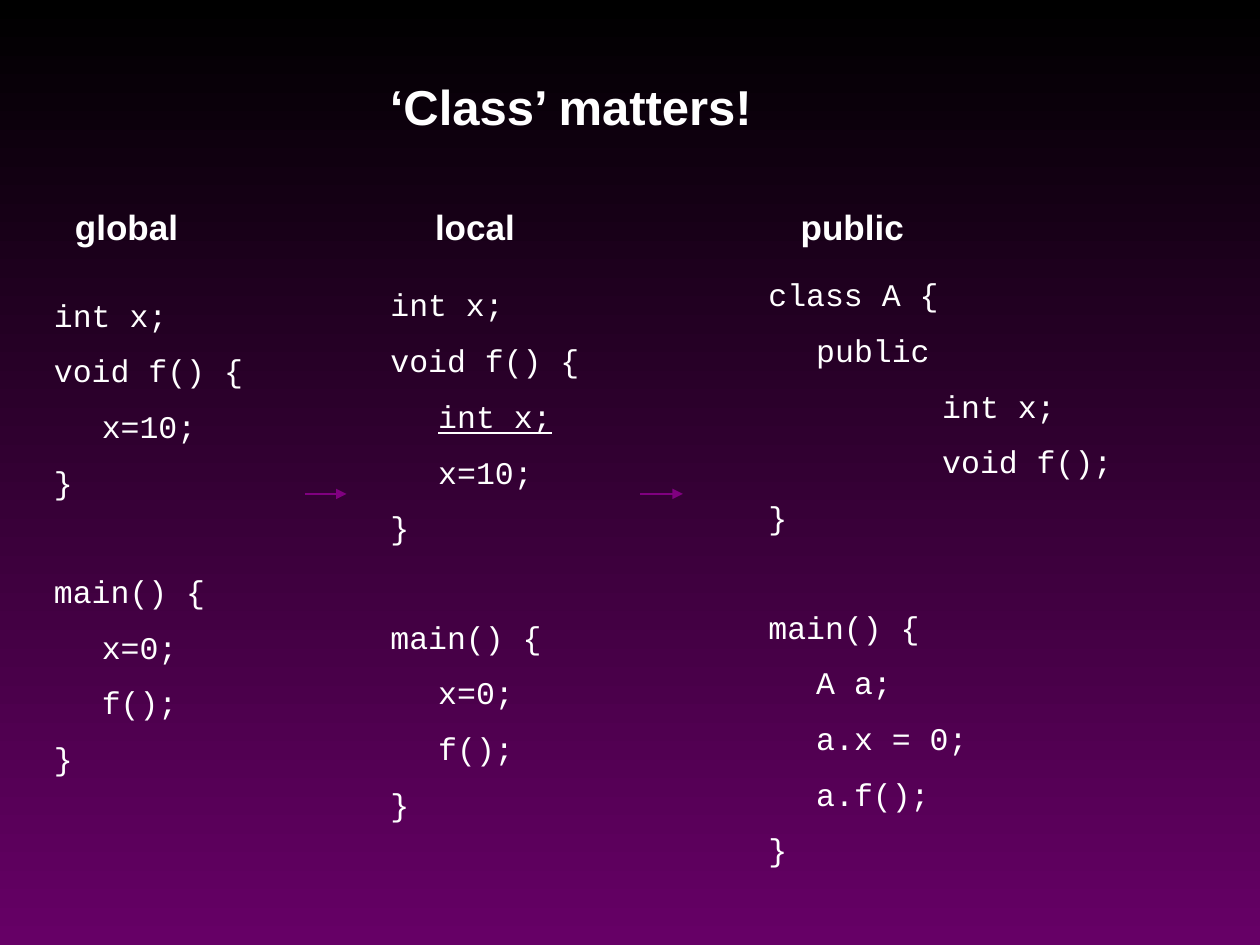
from dataclasses import dataclass

from lxml import etree
from pptx import Presentation
from pptx.dml.color import RGBColor
from pptx.enum.shapes import MSO_CONNECTOR
from pptx.enum.text import MSO_ANCHOR, MSO_AUTO_SIZE, PP_ALIGN
from pptx.oxml.ns import qn
from pptx.util import Inches, Pt

STRAIGHT = MSO_CONNECTOR.STRAIGHT
TOP = MSO_ANCHOR.TOP
NO_FIT = MSO_AUTO_SIZE.NONE
LEFT, CENTER = PP_ALIGN.LEFT, PP_ALIGN.CENTER


@dataclass(frozen=True)
class Theme:
    """Colours, fonts, sizes and spacing of the slide."""
    top: RGBColor = RGBColor(0x00, 0x00, 0x00)
    bottom: RGBColor = RGBColor(0x66, 0x00, 0x66)
    text: RGBColor = RGBColor(0xFF, 0xFF, 0xFF)
    arrow: RGBColor = RGBColor(0x80, 0x00, 0x80)
    heading_font: str = "Arial"
    code_font: str = "Courier New"
    title_size: Pt = Pt(28)
    heading_size: Pt = Pt(20)
    code_size: Pt = Pt(18)
    line_gap: Pt = Pt(12.4)
    block_gap: Pt = Pt(43.1)
    indents: tuple = (0, 0.38, 1.38)


THEME = Theme()
TITLE_FORMAT = {"name": THEME.heading_font, "size": THEME.title_size, "bold": True}
HEADING_FORMAT = {**TITLE_FORMAT, "size": THEME.heading_size}
CODE_FORMAT = {"name": THEME.code_font, "size": THEME.code_size}

MAIN_BLOCK = [(0, "main() {"), (1, "x=0;"), (1, "f();"), (0, "}")]
COLUMNS = [
    {"heading": "global", "heading_at": (0.12, 1.58, 1.77, 0.44),
     "code_at": (0.33, 2.33, 5, 3.78),
     "blocks": [[(0, "int x;"), (0, "void f() {"), (1, "x=10;"), (0, "}")],
                MAIN_BLOCK]},
    {"heading": "local", "heading_at": (2.98, 1.58, 1.58, 0.44),
     "code_at": (3, 2.25, 5, 4.21), "underlined": (1, "int x;"),
     "blocks": [[(0, "int x;"), (0, "void f() {"), (1, "int x;"),
                 (1, "x=10;"), (0, "}")],
                MAIN_BLOCK]},
    {"heading": "public", "heading_at": (5.88, 1.58, 1.77, 0.44),
     "code_at": (6, 2.17, 5, 4.64),
     "blocks": [[(0, "class A {"), (1, "public"), (2, "int x;"),
                 (2, "void f();"), (0, "}")],
                [(0, "main() {"), (1, "A a;"), (1, "a.x = 0;"),
                 (1, "a.f();"), (0, "}")]]},
]


def set_background(page):
    """Fill the page with a gradient running from top to bottom."""
    fill = page.background.fill
    fill.gradient()
    fill.gradient_angle = 270
    for stop, color in zip(fill.gradient_stops, (THEME.top, THEME.bottom)):
        stop.color.rgb = color


def prepare_frame(box):
    """Set wrapping and anchoring of a box and return its text frame."""
    frame = box.text_frame
    frame.word_wrap = True
    frame.auto_size = NO_FIT
    frame.vertical_anchor = TOP
    return frame


def add_span(para, text, font_format):
    """Add formatted text to a paragraph and return it."""
    span = para.add_run()
    span.text = text
    for name, value in font_format.items():
        setattr(span.font, name, value)
    span.font.color.rgb = THEME.text
    return span


def write_heading(box, text, font_format):
    """Write one centred line into a box."""
    para = prepare_frame(box).paragraphs[0]
    para.alignment = CENTER
    add_span(para, text, font_format)


def add_title(page, text):
    """Place and fill the title placeholder."""
    title = page.shapes.title
    places = zip(("left", "top", "width", "height"), (2.61, 0.56, 3.84, 0.57))
    for name, value in places:
        setattr(title, name, Inches(value))
    write_heading(title, text, TITLE_FORMAT)


def add_box(page, place):
    """Add a text box at a place given in inches."""
    return page.shapes.add_textbox(*map(Inches, place))


def add_code(page, place, blocks, underlined=None):
    """Add a code listing whose blocks are set apart by spacing."""
    frame = prepare_frame(add_box(page, place))
    for block_index, block in enumerate(blocks):
        for line_index, line in enumerate(block):
            level, text = line
            first = block_index == line_index == 0
            para = frame.paragraphs[0] if first else frame.add_paragraph()
            para.alignment = LEFT
            para.line_spacing = 0.9
            if not first:
                para.space_before = THEME.line_gap if line_index else THEME.block_gap
            para._p.get_or_add_pPr().set("marL", str(Inches(THEME.indents[level])))
            span = add_span(para, text, CODE_FORMAT)
            if line == underlined:
                span.font.underline = True


def add_arrow(page, left, right, y):
    """Add a horizontal arrow pointing right."""
    arrow = page.shapes.add_connector(
        STRAIGHT, Inches(left), Inches(y), Inches(right), Inches(y))
    arrow.line.color.rgb = THEME.arrow
    arrow.line.width = Pt(1.25)
    etree.SubElement(arrow.line._get_or_add_ln(), qn("a:tailEnd"), type="triangle")
    etree.SubElement(arrow._element.spPr, qn("a:effectLst"))


def main():
    """Build and save the deck."""
    deck = Presentation()
    deck.slide_width, deck.slide_height = Inches(10), Inches(7.5)
    page = deck.slides.add_slide(deck.slide_layouts[5])
    set_background(page)
    add_title(page, "‘Class’ matters!")
    for column in COLUMNS:
        write_heading(add_box(page, column["heading_at"]), column["heading"],
                      HEADING_FORMAT)
        add_code(page, column["code_at"], column["blocks"],
                 column.get("underlined"))
    for left, right in ((2.42, 2.75), (5.08, 5.42)):
        add_arrow(page, left, right, 3.92)
    deck.save("out.pptx")


if __name__ == "__main__":
    main()
